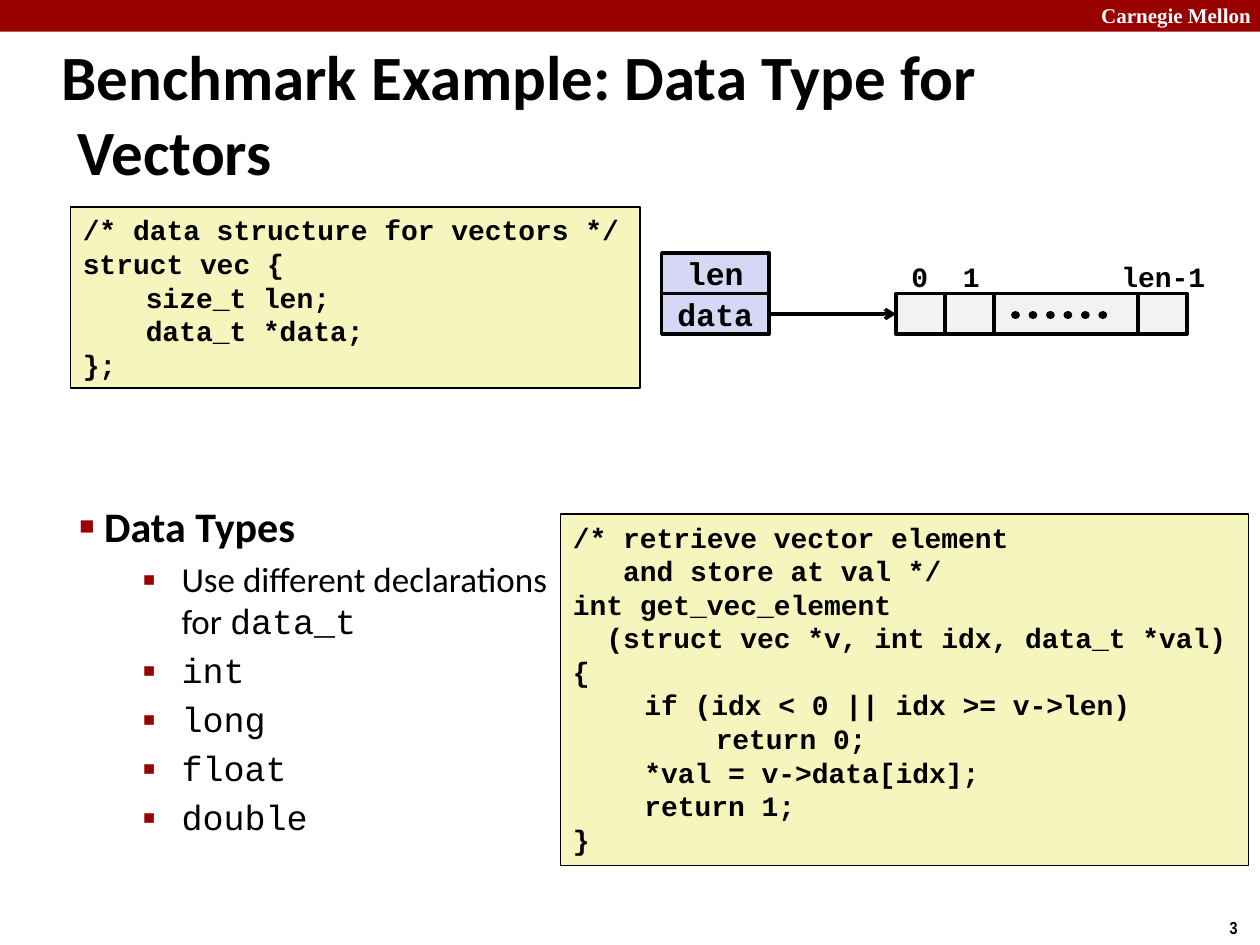
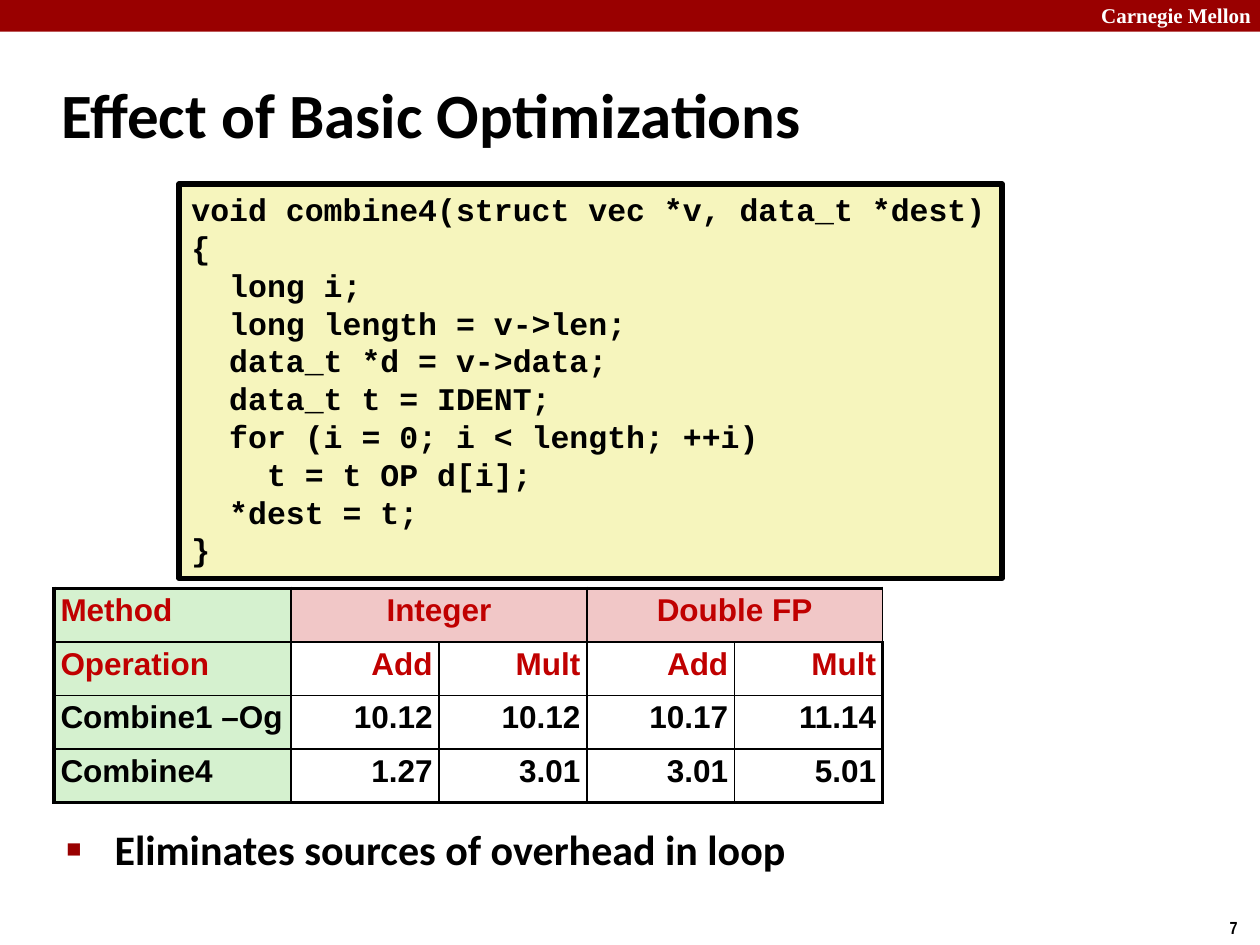
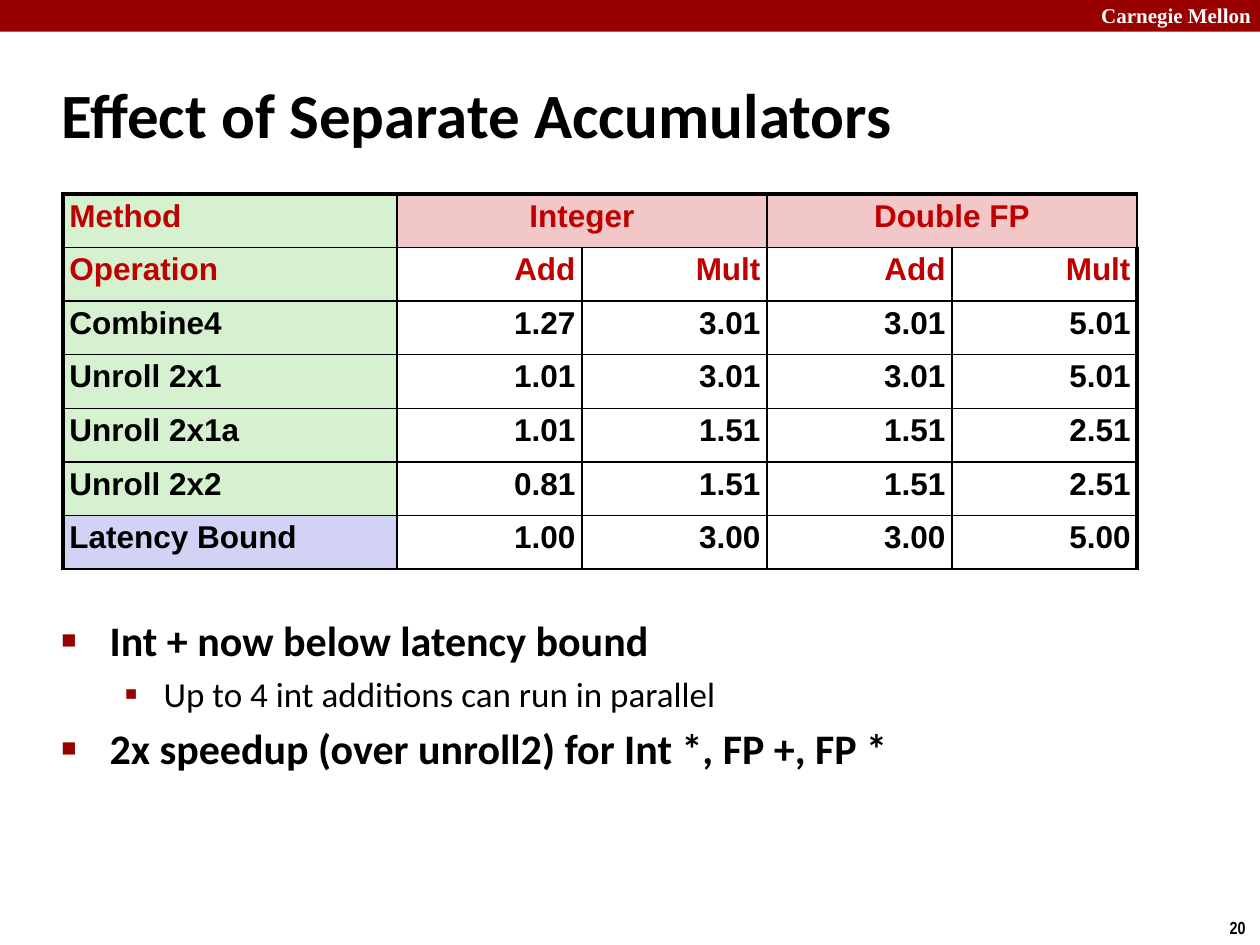
import pptx
import pptx.util
import pptx.dml.color
import pptx.enum.dml
import pptx.enum.shapes
import pptx.enum.text
import pptx.oxml.ns
from lxml import etree

Cm = pptx.util.Cm
Pt = pptx.util.Pt
qn = pptx.oxml.ns.qn
rgb = pptx.dml.color.RGBColor.from_string
ALIGN = pptx.enum.text.PP_ALIGN
ANCHOR = pptx.enum.text.MSO_ANCHOR
STRAIGHT = pptx.enum.shapes.MSO_CONNECTOR.STRAIGHT

RED, BLACK, WHITE = "990000", "000000", "FFFFFF"
CODE_FILL, FIELD_FILL, CELL_FILL = "F6F5BD", "D6D6F5", "F2F2F2"
HEAD_TEXT, GREEN, PINK, LILAC = "C00000", "D5F1CF", "F1C7C7", "D2D2F4"


def add_box(s, at, lines=(), size=16, font="Courier New", color=BLACK, align=ALIGN.LEFT,
            anchor=ANCHOR.TOP, wrap=False, fill=None, line=0, tab=0):
    at = [Cm(v) for v in at]
    if fill:
        sp = s.shapes.add_shape(pptx.enum.shapes.MSO_SHAPE.RECTANGLE, *at)
        sp.shadow.inherit = False
        sp.fill.solid()
        sp.fill.fore_color.rgb = rgb(fill)
        if line:
            sp.line.color.rgb = rgb(BLACK)
            sp.line.width = Pt(line)
        else:
            sp.line.fill.background()
    else:
        sp = s.shapes.add_textbox(*at)
    tf = sp.text_frame
    tf.word_wrap = wrap
    tf.vertical_anchor = anchor
    for i, text in enumerate(lines):
        p = tf.add_paragraph() if i else tf.paragraphs[0]
        p.alignment = align
        if tab:
            tabs = etree.SubElement(p._p.get_or_add_pPr(), qn("a:tabLst"))
            for n in (1, 2):
                etree.SubElement(tabs, qn("a:tab"), pos=str(Cm(tab * n)), algn="l")
        add_run(p, text, size, font, color)
    return sp


def add_run(p, text, size, font, color=BLACK, bold=True):
    r = p.add_run()
    r.text = text
    r.font.size = Pt(size)
    r.font.name = font
    r.font.bold = bold
    r.font.color.rgb = rgb(color)


prs = pptx.Presentation()
prs.slide_width = Cm(25.4)
prs.slide_height = Cm(19.05)

slides = []
for title, number in (
    ("Benchmark Example: Data Type for Vectors", "3"),
    ("Effect of Basic Optimizations", "7"),
    ("Effect of Separate Accumulators", "20"),
):
    s = prs.slides.add_slide(prs.slide_layouts[6])
    add_box(s, (0, 0, 25.4, 0.64), fill=RED)
    add_box(s, (21.95, -0.08, 3.63, 0.76), ["Carnegie Mellon"], 12, "Times New Roman", WHITE, wrap=True)
    add_box(s, (24.54, 18.36, 0.86, 0.69), [number], 10, "Arial Narrow", wrap=True)
    sp = add_box(s, (0.99, 1.22, 21.08, 2.11), [title], 36, "Calibri", anchor=ANCHOR.MIDDLE, wrap=True)
    pPr = sp.text_frame.paragraphs[0]._p.get_or_add_pPr()
    pPr.set("marL", str(Cm(0.33)))
    pPr.set("indent", str(-Cm(0.33)))
    slides.append(s)
vectors, basic, accumulators = slides

add_box(vectors, (1.42, 4.17, 11.48, 3.66), [
    "/* data structure for vectors */",
    "struct vec {",
    "\tsize_t len;",
    "\tdata_t *data;",
    "};",
], fill=CODE_FILL, line=1, tab=1.27)
add_box(vectors, (11.3, 10.36, 13.87, 7.09), [
    "/* retrieve vector element",
    "   and store at val */",
    "int get_vec_element",
    "  (struct vec *v, int idx, data_t *val)",
    "{",
    "\tif (idx < 0 || idx >= v->len)",
    "\t\treturn 0;",
    "\t*val = v->data[idx];",
    "\treturn 1;",
    "}",
], fill=CODE_FILL, line=1, tab=1.44)
add_box(basic, (3.61, 3.71, 16.59, 7.95), [
    "void combine4(struct vec *v, data_t *dest)",
    "{",
    "  long i;",
    "  long length = v->len;",
    "  data_t *d = v->data;",
    "  data_t t = IDENT;",
    "  for (i = 0; i < length; ++i)",
    "    t = t OP d[i];",
    "  *dest = t;",
    "}",
], 18, fill=CODE_FILL, line=3)

row_top, row_h = 5.92, 0.82
fields = [
    add_box(vectors, (13.34, top, 2.16, row_h), [name], 18, align=ALIGN.CENTER,
            anchor=ANCHOR.MIDDLE, fill=FIELD_FILL, line=2)
    for name, top in (("len", row_top - row_h), ("data", row_top))
]
cells = []
x = 18.06
for w in (0.99, 0.99, 2.9, 0.99):
    cells.append(add_box(vectors, (x, row_top, w, row_h), fill=CELL_FILL, line=2))
    x += w
for index, x, w in (("0", 18.11, 0.86), ("1", 19.15, 0.86), ("len-1", 22.33, 2.24)):
    add_box(vectors, (x, 5.11, w, 0.94), [index], align=ALIGN.CENTER)

arrow = vectors.shapes.add_connector(STRAIGHT, 0, 0, 0, 0)
arrow.begin_connect(fields[1], 3)
arrow.end_connect(cells[0], 1)
dots = vectors.shapes.add_connector(STRAIGHT, Cm(20.47), Cm(6.35), Cm(22.5), Cm(6.35))
for cx, width in ((arrow, 2), (dots, 5)):
    cx.line.color.rgb = rgb(BLACK)
    cx.line.width = Pt(width)
    etree.SubElement(cx._element.spPr, qn("a:effectLst"))
etree.SubElement(arrow.get_or_add_ln(), qn("a:tailEnd"), type="arrow")
dots.line.dash_style = pptx.enum.dml.MSO_LINE.ROUND_DOT
dots.get_or_add_ln().set("cap", "rnd")

heads = [
    ("Method", "Integer", "", "Double FP", ""),
    ("Operation", "Add", "Mult", "Add", "Mult"),
]
combine4 = ("Combine4", "1.27", "3.01", "3.01", "5.01")
for s, left, top, name_w, value_w, bottom, data in (
    (basic, 1.09, 11.86, 4.78, 2.98, 2.25, [
        ("Combine1 –Og", "10.12", "10.12", "10.17", "11.14"),
        combine4,
    ]),
    (accumulators, 1.27, 3.91, 6.73, 3.73, 1, [
        combine4,
        ("Unroll 2x1", "1.01", "3.01", "3.01", "5.01"),
        ("Unroll 2x1a", "1.01", "1.51", "1.51", "2.51"),
        ("Unroll 2x2", "0.81", "1.51", "1.51", "2.51"),
        ("Latency Bound", "1.00", "3.00", "3.00", "5.00"),
    ]),
):
    rows = heads + data
    last = len(rows) - 1
    tbl = s.shapes.add_table(len(rows), 5, Cm(left), Cm(top),
                             Cm(name_w + 4 * value_w), Cm(1.08 * len(rows))).table
    tbl.first_row = tbl.horz_banding = False
    for j, col in enumerate(tbl.columns):
        col.width = Cm(value_w if j else name_w)
    for i, row in enumerate(rows):
        tbl.rows[i].height = Cm(1.08)
        for j, text in enumerate(row):
            cell = tbl.cell(i, j)
            cell.margin_left = cell.margin_right = cell.margin_top = cell.margin_bottom = Cm(0.13)
            for side, width in (("L", 1 if j else 2.25), ("R", 2.25 if j == 4 else 1),
                                ("T", 1 if i else 2.25), ("B", bottom if i == last else 1)):
                ln = etree.SubElement(cell._tc.get_or_add_tcPr(), qn("a:ln" + side), w=str(Pt(width)))
                etree.SubElement(etree.SubElement(ln, qn("a:solidFill")), qn("a:srgbClr"), val=BLACK)
            cell.fill.solid()
            if j == 0:
                fill = LILAC if text == "Latency Bound" else GREEN
            else:
                fill = WHITE if i else PINK
            cell.fill.fore_color.rgb = rgb(fill)
            if text:
                p = cell.text_frame.paragraphs[0]
                p.line_spacing = 0.95
                if j:
                    p.alignment = ALIGN.RIGHT if i else ALIGN.CENTER
                add_run(p, text, 18, "Arial", HEAD_TEXT if i < 2 else BLACK)
    for j in (1, 3):
        tbl.cell(0, j).merge(tbl.cell(0, j + 1))

for s, at, hang, items in (
    (vectors, (1.35, 9.96, 10.74, 7.42), 0.5, [
        (0, "Data Types", ""),
        (1, "Use different declarations for ", "data_t"),
        (1, "", "int"),
        (1, "", "long"),
        (1, "", "float"),
        (1, "", "double"),
    ]),
    (basic, (1.09, 16.48, 21.95, 1.5), 0.97, [(0, "Eliminates sources of overhead in loop", "")]),
    (accumulators, (0.99, 12.27, 23.09, 5.21), 0.97, [
        (0, "Int + now below latency bound", ""),
        (1, "Up to 4 int additions can run in parallel", ""),
        (0, "2x speedup (over unroll2) for Int *, FP +, FP *", ""),
    ]),
):
    tf = add_box(s, at, wrap=True).text_frame
    for i, (level, text, code) in enumerate(items):
        size, margin, indent, char, scale = (
            (20, 2.06, 0.79, "▪", 110) if level else (24, hang, hang, "■", 60))
        p = tf.add_paragraph() if i else tf.paragraphs[0]
        p.level = level
        pPr = p._p.get_or_add_pPr()
        pPr.set("marL", str(Cm(margin)))
        pPr.set("indent", str(-Cm(indent)))
        etree.SubElement(etree.SubElement(pPr, qn("a:buClr")), qn("a:srgbClr"), val=RED)
        etree.SubElement(pPr, qn("a:buSzPct"), val=str(scale * 1000))
        etree.SubElement(pPr, qn("a:buFont"), typeface="Arial")
        etree.SubElement(pPr, qn("a:buChar"), char=char)
        if i:
            p.space_before = Pt(size * 0.2)
        for part, font in ((text, "Calibri"), (code, "Courier New")):
            if part:
                add_run(p, part, size, font, bold=level == 0)

prs.save("out.pptx")
